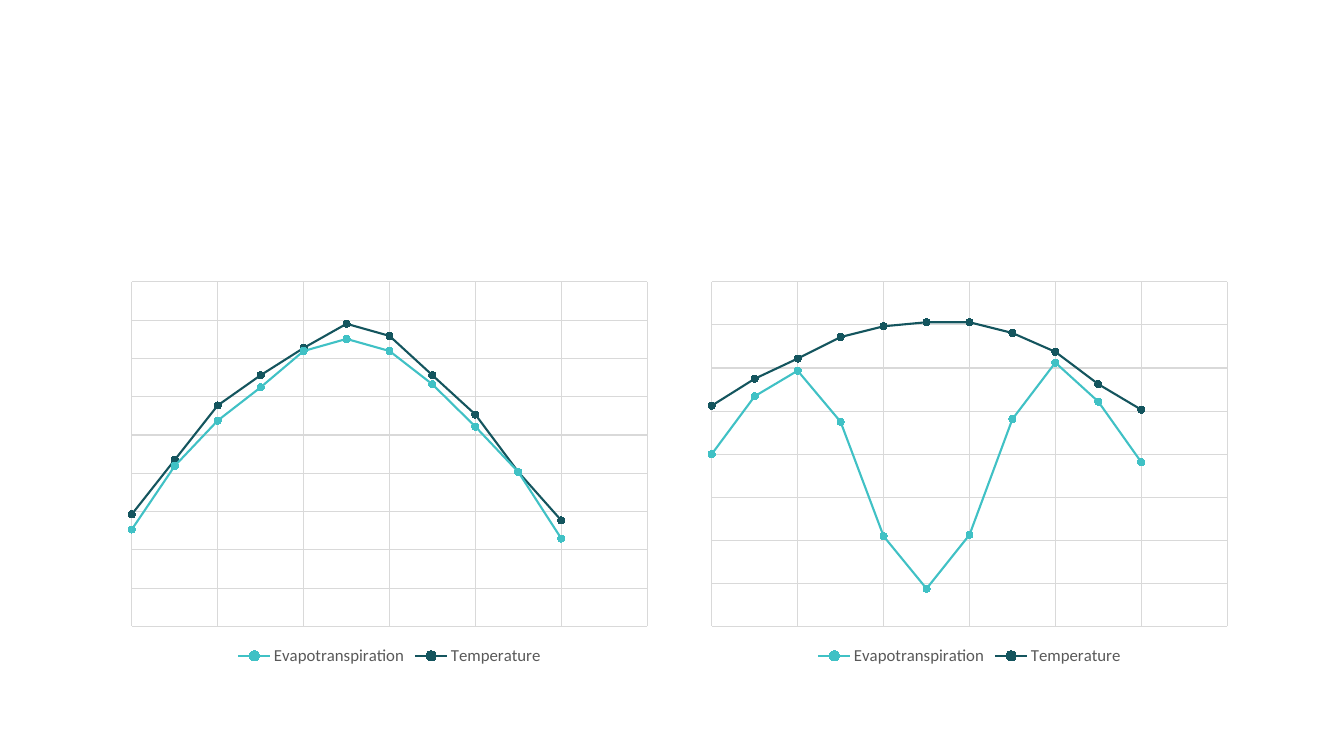
from lxml import etree
from pptx import Presentation
from pptx.chart.data import XyChartData
from pptx.dml.color import RGBColor
from pptx.enum.chart import XL_CHART_TYPE, XL_LEGEND_POSITION, XL_MARKER_STYLE
from pptx.oxml.ns import qn
from pptx.util import Pt

SCATTER_LINES = XL_CHART_TYPE.XY_SCATTER_LINES
LEGEND_BOTTOM = XL_LEGEND_POSITION.BOTTOM
CIRCLE = XL_MARKER_STYLE.CIRCLE
BLANK_LAYOUT = 6
EMU_PER_INCH = 914400
PX_PER_INCH = 100.8

TIMES = [step / 10 for step in range(11)]
SERIES_COLOURS = {"Evapotranspiration": "40C1C5", "Temperature": "14555E"}
PLOT_SHARE = {"x": 0.02, "y": 0.02, "w": 0.96, "h": 0.87}

# Each chart: left edge, (lowest value, highest value, grid step), curves
CHARTS = [
    (701, (-128, 128, 32), {
        "Evapotranspiration": [0, 43, 62, 24, -61, -100, -60, 26, 68, 39, -6],
        "Temperature": [36, 56, 71, 87, 95, 98, 98, 90, 76, 52, 33],
    }),
    (121, (0, 113.85, 12.65), {
        "Evapotranspiration": [32, 53, 68, 79, 91, 95, 91, 80, 66, 51, 29],
        "Temperature": [37, 55, 73, 83, 92, 100, 96, 83, 70, 51, 35],
    }),
]


def px(length):
    return round(length * EMU_PER_INCH / PX_PER_INCH)


def colour(hex_code):
    return RGBColor.from_string(hex_code)


class SlideBuilder:
    font = "Calibri"
    text_colour = "595959"
    grid_colour = "D9D9D9"

    def __init__(self, page):
        self.page = page

    def scatter(self, left, top, width, height, value_scale, curves):
        chart_data = XyChartData()
        for name, values in curves.items():
            points = chart_data.add_series(name)
            for time, value in zip(TIMES, values):
                points.add_data_point(time, value)
        frame = self.page.shapes.add_chart(
            SCATTER_LINES, px(left), px(top), px(width), px(height), chart_data)
        chart = frame.chart
        chart.has_title = False
        chart.font.name = self.font
        chart.font.size = Pt(10)
        chart.font.color.rgb = colour("000000")
        chart.plots[0].vary_by_categories = False
        for series in chart.plots[0].series:
            self.style_series(series, SERIES_COLOURS[series.name])
        self.style_axis(chart.category_axis, 0, 1.2, 0.2)
        self.style_axis(chart.value_axis, *value_scale)
        self.add_legend(chart)
        self.place_plot(chart)

    def style_series(self, series, hex_code):
        series.smooth = False
        series.format.line.color.rgb = colour(hex_code)
        series.format.line.width = Pt(1.5)
        marker = series.marker
        marker.style = CIRCLE
        marker.size = 5
        marker.format.fill.solid()
        marker.format.fill.fore_color.rgb = colour(hex_code)
        marker.format.line.color.rgb = colour(hex_code)

    def style_axis(self, axis, lowest, highest, step):
        axis.minimum_scale = lowest
        axis.maximum_scale = highest
        axis.major_unit = step
        axis.has_major_gridlines = True
        grid_line = axis.major_gridlines.format.line
        grid_line.color.rgb = colour(self.grid_colour)
        grid_line.width = Pt(0.75)
        axis.visible = False

    def add_legend(self, chart):
        chart.has_legend = True
        legend = chart.legend
        legend.position = LEGEND_BOTTOM
        legend.include_in_layout = False
        legend.font.name = self.font
        legend.font.size = Pt(12)
        legend.font.color.rgb = colour(self.text_colour)

    def place_plot(self, chart):
        """Fix the inner plot area as shares of the chart's size."""
        plot_area = chart.plots[0]._element.getparent()
        for old_layout in plot_area.findall(qn("c:layout")):
            plot_area.remove(old_layout)
        layout = etree.Element(qn("c:layout"))
        manual = etree.SubElement(layout, qn("c:manualLayout"))
        settings = [("layoutTarget", "inner"), ("xMode", "edge"), ("yMode", "edge")]
        for tag, value in settings + list(PLOT_SHARE.items()):
            etree.SubElement(manual, qn(f"c:{tag}"), val=str(value))
        plot_area.insert(0, layout)


def main():
    deck = Presentation()
    deck.slide_width = px(1344)
    deck.slide_height = px(756)
    page = deck.slides.add_slide(deck.slide_layouts[BLANK_LAYOUT])
    builder = SlideBuilder(page)
    for left, value_scale, curves in CHARTS:
        builder.scatter(left, 274, 537, 396, value_scale, curves)
    deck.save("out.pptx")


if __name__ == "__main__":
    main()
